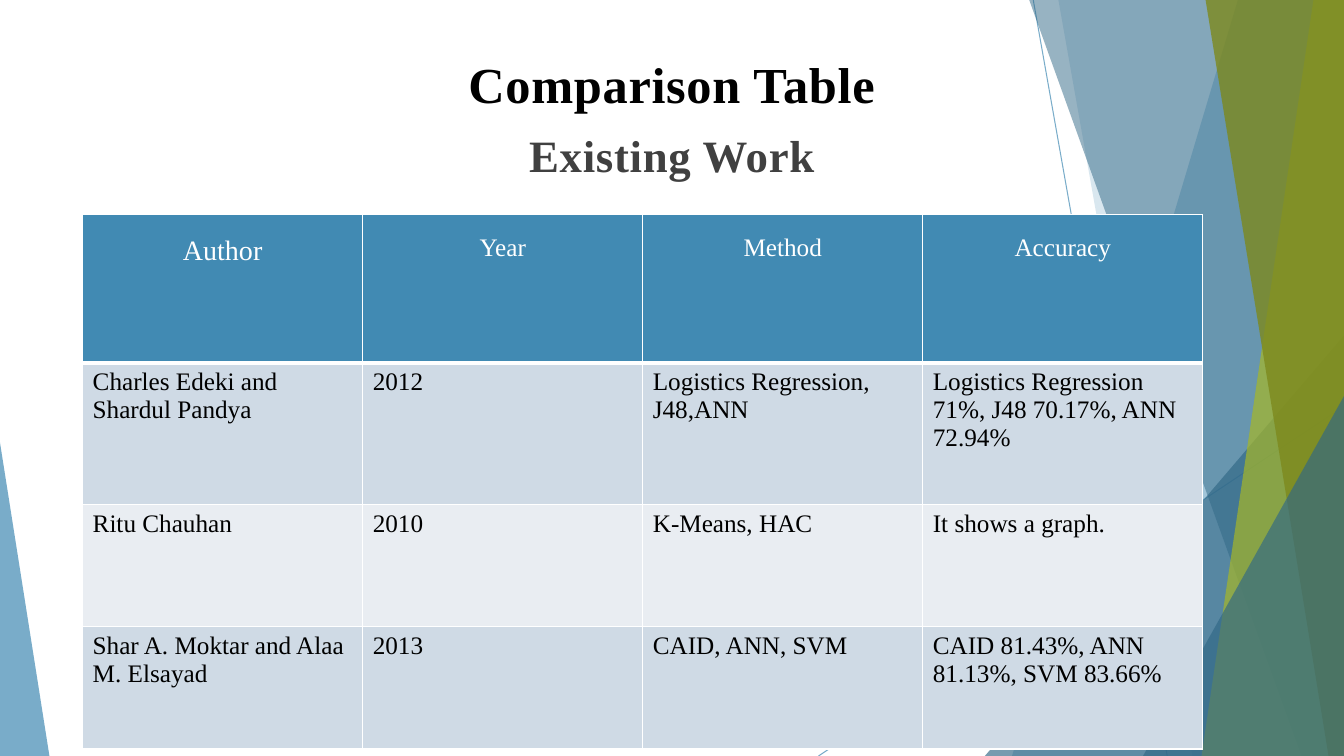
import lxml.etree
import pptx
import pptx.dml.color
import pptx.enum.shapes
import pptx.enum.text
import pptx.oxml.ns
import pptx.util

RGBColor = pptx.dml.color.RGBColor
BLUE = RGBColor(0x41, 0x8A, 0xB3)
DARK_BLUE = RGBColor(0x31, 0x68, 0x86)
LIME = RGBColor(0xA6, 0xB7, 0x27)
OLIVE = RGBColor(0x7D, 0x89, 0x1D)
PALE_BLUE = RGBColor(0xCF, 0xDA, 0xE5)
PALE_GREY = RGBColor(0xE9, 0xED, 0xF2)
GREY = RGBColor(0x40, 0x40, 0x40)
BLACK = RGBColor(0, 0, 0)
WHITE = RGBColor(255, 255, 255)

FONT = "Times New Roman"
SLIDE_WIDTH = pptx.util.Inches(13.33)
SLIDE_HEIGHT = pptx.util.Inches(7.5)
CENTER = pptx.enum.text.PP_ALIGN.CENTER
LEFT = pptx.enum.text.PP_ALIGN.LEFT

# Boxes are left, top, width, height in percent of the slide
SLIDE_BOX = (0, 0, 100, 100)
TITLE_BOX = (0, 5.73, 100, 8.4)
SUBTITLE_BOX = (0, 15.6, 100, 8.53)
TABLE_BOX = (6.15, 28.4, 83.35, 70.67)

# Facets reach the right edge: top x, bottom x, colour, opacity
BACK_FACETS = [(92.1, 75.3, BLUE, 36), (78.75, 88.72, BLUE, 20)]
FRONT_FACETS = [(76.58, 96.83, DARK_BLUE, 50), (97.73, 89.4, LIME, 70),
                (89.7, 98.85, OLIVE, 80)]
# Corner triangles: left, apex y, width, apex side, colour, opacity
BACK_TRIANGLE = (73.28, 44.4, 26.72, 1, DARK_BLUE, 66)
FRONT_TRIANGLES = [(85.05, 52.4, 14.95, 1, DARK_BLUE, 66),
                   (0, 58.53, 3.68, 0, BLUE, 70)]
THIN_LINES = [(76.88, 0, 86.85, 100), (100, 53.73, 60.9, 100)]

HEADERS = ["Author", "Year", "Method", "Accuracy"]
STUDIES = [
    ["Charles Edeki and Shardul Pandya", "2012", "Logistics Regression, J48,ANN",
     "Logistics Regression 71%, J48 70.17%, ANN 72.94%"],
    ["Ritu Chauhan", "2010", "K-Means, HAC", "It shows a graph."],
    ["Shar A. Moktar and Alaa M. Elsayad", "2013", "CAID, ANN, SVM",
     "CAID 81.43%, ANN 81.13%, SVM 83.66%"],
]
ROW_SHARES = [27.7, 26.6, 22.85, 22.85]


def locate(box, x, y):
    """Turn percentages of a box into a point on the slide."""
    left, top, width, height = box
    return (round(SLIDE_WIDTH * (left + width * x / 100) / 100),
            round(SLIDE_HEIGHT * (top + height * y / 100) / 100))


def frame(box):
    left, top = locate(box, 0, 0)
    right, bottom = locate(box, 100, 100)
    return left, top, right - left, bottom - top


def add_element(parent, tag, **attributes):
    return lxml.etree.SubElement(parent, pptx.oxml.ns.qn(tag), attributes)


def set_opacity(shape, percent):
    color = next(shape._element.spPr.iter(pptx.oxml.ns.qn("a:srgbClr")))
    add_element(color, "a:alpha", val=str(percent * 1000))


def set_format(target, values):
    for name, value in values.items():
        setattr(target, name, value)


def write_text(paragraph, text, size, color, **font_values):
    run = paragraph.add_run()
    run.text = text
    set_format(run.font, {"name": FONT, "size": pptx.util.Pt(size), "bold": False} | font_values)
    run.font.color.rgb = color
    return run


# Background decoration
def paint(shape, color, opacity):
    shape.shadow.inherit = False
    shape.fill.solid()
    shape.fill.fore_color.rgb = color
    set_opacity(shape, opacity)
    shape.line.fill.background()


def add_facet(slide, box, top_x, bottom_x, color, opacity):
    builder = slide.shapes.build_freeform(*locate(box, top_x, 0))
    corners = [(100, 0), (100, 100), (bottom_x, 100)]
    builder.add_line_segments([locate(box, x, y) for x, y in corners])
    paint(builder.convert_to_shape(), color, opacity)


def add_triangle(slide, box, left, apex_y, width, apex_side, color, opacity):
    x, y = locate(box, left, apex_y)
    right, bottom = locate(box, left + width, 100)
    triangle = slide.shapes.add_shape(
        pptx.enum.shapes.MSO_SHAPE.ISOSCELES_TRIANGLE, x, y, right - x, bottom - y)
    triangle.adjustments[0] = apex_side
    paint(triangle, color, opacity)


def add_decoration(slide, box):
    for start_x, start_y, end_x, end_y in THIN_LINES:
        line = slide.shapes.add_connector(
            pptx.enum.shapes.MSO_CONNECTOR.STRAIGHT,
            *locate(box, start_x, start_y), *locate(box, end_x, end_y))
        line.line.color.rgb = BLUE
        line.line.width = pptx.util.Pt(0.75)
        set_opacity(line, 70)
        add_element(line._element.spPr, "a:effectLst")
    for facet in BACK_FACETS:
        add_facet(slide, box, *facet)
    add_triangle(slide, box, *BACK_TRIANGLE)
    for facet in FRONT_FACETS:
        add_facet(slide, box, *facet)
    for triangle in FRONT_TRIANGLES:
        add_triangle(slide, box, *triangle)


# Headings
def add_heading(slide, box, text, size, color):
    text_frame = slide.shapes.add_textbox(*frame(box)).text_frame
    set_format(text_frame, {"word_wrap": True, "margin_left": 0, "margin_right": 0,
                            "margin_top": pptx.util.Inches(0.1), "margin_bottom": 0})
    paragraph = text_frame.paragraphs[0]
    paragraph.alignment = CENTER
    run = write_text(paragraph, text, size, color, bold=True)
    run._r.get_or_add_rPr().set("spc", "50")


# Comparison table
def fill_cell(cell, text, size, color, fill, bottom_border, paragraph_values):
    properties = cell._tc.get_or_add_tcPr()
    for side, points in (("L", 1), ("R", 1), ("T", 1), ("B", bottom_border)):
        border = add_element(properties, f"a:ln{side}", w=str(pptx.util.Pt(points)))
        add_element(add_element(border, "a:solidFill"), "a:srgbClr", val=str(WHITE))
    cell.fill.solid()
    cell.fill.fore_color.rgb = fill
    paragraph = cell.text_frame.paragraphs[0]
    set_format(paragraph, paragraph_values)
    write_text(paragraph, text, size, color)


def add_comparison(slide, box):
    left, top, width, height = frame(box)
    table = slide.shapes.add_table(
        len(STUDIES) + 1, len(HEADERS), left, top, width, height).table
    for row, share in zip(table.rows, ROW_SHARES):
        row.height = round(height * share / 100)
    for column, header in enumerate(HEADERS):
        fill_cell(table.cell(0, column), header, 18 if column else 20, WHITE, BLUE, 3,
                  {"alignment": CENTER, "line_spacing": 1.5})
    for row, study in enumerate(STUDIES, start=1):
        fill = PALE_BLUE if row % 2 else PALE_GREY
        for column, text in enumerate(study):
            fill_cell(table.cell(row, column), text, 18, BLACK, fill, 1, {"alignment": LEFT})


def main():
    presentation = pptx.Presentation()
    set_format(presentation, {"slide_width": SLIDE_WIDTH, "slide_height": SLIDE_HEIGHT})
    slide = presentation.slides.add_slide(presentation.slide_layouts[6])
    add_decoration(slide, SLIDE_BOX)
    add_comparison(slide, TABLE_BOX)
    add_heading(slide, SUBTITLE_BOX, "Existing Work", 32, GREY)
    add_heading(slide, TITLE_BOX, "Comparison Table", 36, BLACK)
    presentation.save("out.pptx")


if __name__ == "__main__":
    main()
